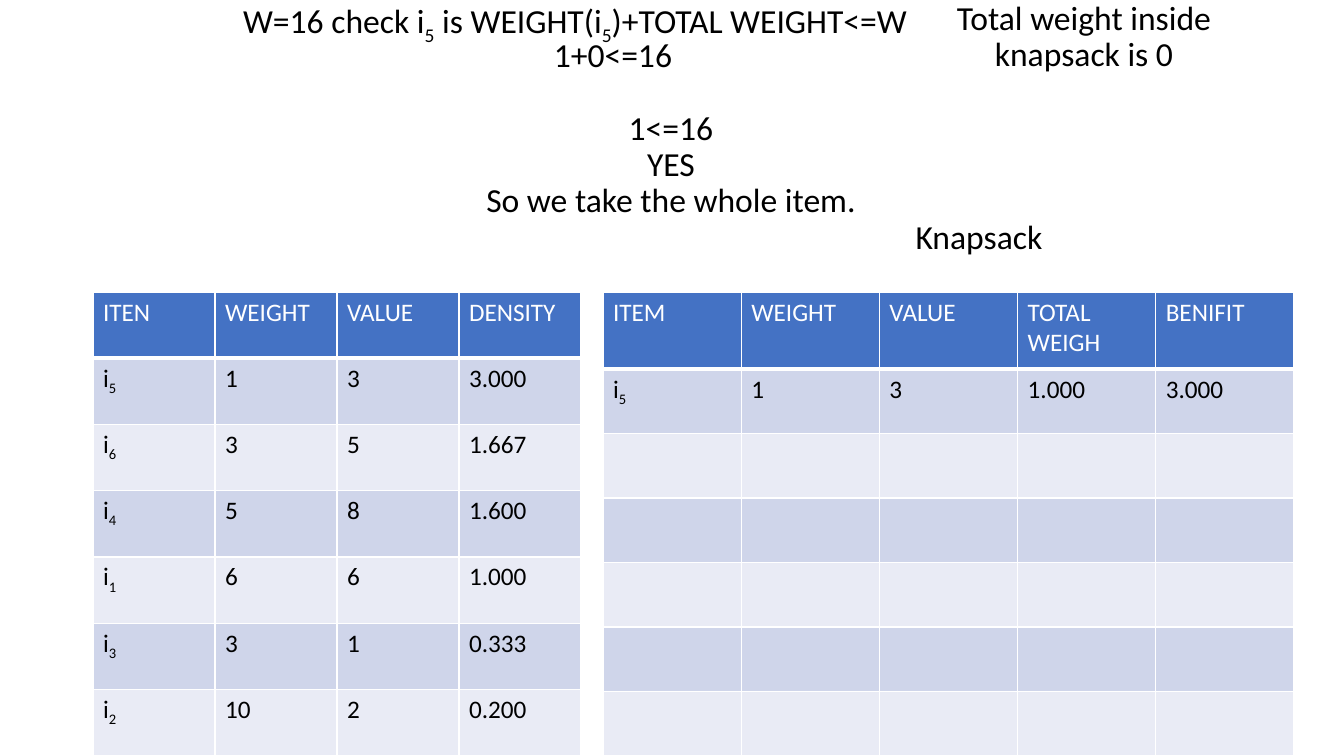
import pptx
import pptx.dml.color
import pptx.enum.text
import pptx.oxml
import pptx.oxml.ns
import pptx.util

EMU_PER_PX = 9071.43
FONT = "Calibri"
BLACK, WHITE = "000000", "FFFFFF"
HEADER_FILL = "4472C4"
BAND_FILLS = ["CFD5EA", "E9EBF5"]

ITEM_ROWS = [
    ["ITEN", "WEIGHT", "VALUE", "DENSITY"],
    ["i_5", "1", "3", "3.000"],
    ["i_6", "3", "5", "1.667"],
    ["i_4", "5", "8", "1.600"],
    ["i_1", "6", "6", "1.000"],
    ["i_3", "3", "1", "0.333"],
    ["i_2", "10", "2", "0.200"],
]
KNAPSACK_ROWS = [
    ["ITEM", "WEIGHT", "VALUE", "TOTAL WEIGH", "BENIFIT"],
    ["i_5", "1", "3", "1.000", "3.000"],
] + [[""] * 5] * 5


def px(length):
    return pptx.util.Emu(round(length * EMU_PER_PX))


def color(hex_string):
    return pptx.dml.color.RGBColor.from_string(hex_string)


def write(paragraph, text, size, hex_string):
    """Write text in which the character after each underscore is a subscript."""
    first, *others = text.split("_")
    pieces = [(first, False)]
    for other in others:
        pieces += [(other[0], True), (other[1:], False)]
    for piece, is_subscript in pieces:
        if not piece:
            continue
        run = paragraph.add_run()
        run.text = piece
        run.font.name = FONT
        run.font.size = pptx.util.Pt(size)
        run.font.bold = False
        run.font.color.rgb = color(hex_string)
        if is_subscript:
            run.font._element.set("baseline", "-25000")


def add_centered_lines(slide, center, top, width, lines):
    height = 37 * len(lines)
    shape = slide.shapes.add_textbox(
        px(center - width / 2), px(top), px(width), px(height))
    text_frame = shape.text_frame
    text_frame.word_wrap = True
    text_frame.margin_left = text_frame.margin_right = 0
    text_frame.margin_top = text_frame.margin_bottom = 0
    for index, line in enumerate(lines):
        paragraph = text_frame.add_paragraph() if index else text_frame.paragraphs[0]
        paragraph.alignment = pptx.enum.text.PP_ALIGN.CENTER
        paragraph.line_spacing = 0.9
        write(paragraph, line, 24, BLACK)


def add_weight_check(slide, left, top):
    add_centered_lines(slide, left + 575, top, 760,
                       ["W=16 check i_5 is WEIGHT(i_5)+TOTAL WEIGHT<=W"])
    add_centered_lines(slide, left + 613, top + 37, 200, ["1+0<=16"])
    add_centered_lines(slide, left + 1084, top, 300,
                       ["Total weight inside", "knapsack is 0"])
    add_centered_lines(slide, left + 671, top + 110, 500,
                       ["1<=16", "YES", "So we take the whole item."])
    add_centered_lines(slide, left + 979, top + 219, 200, ["Knapsack"])


def set_borders(cell, bottom_points):
    properties = cell._tc.get_or_add_tcPr()
    for side, points in [("L", 1), ("R", 1), ("T", 1), ("B", bottom_points)]:
        properties.append(pptx.oxml.parse_xml(
            f'<a:ln{side} {pptx.oxml.ns.nsdecls("a")} w="{points * 12700}">'
            f'<a:solidFill><a:srgbClr val="{WHITE}"/></a:solidFill></a:ln{side}>'))


def add_banded_table(slide, left, top, width, height, header_height, rows):
    column_count = len(rows[0])
    table = slide.shapes.add_table(
        len(rows), column_count, px(left), px(top), px(width), px(height)).table
    for column in table.columns:
        column.width = px(width / column_count)
    body_height = (height - header_height) / (len(rows) - 1)
    for row_index, values in enumerate(rows):
        is_header = row_index == 0
        table.rows[row_index].height = px(header_height if is_header else body_height)
        fill = HEADER_FILL if is_header else BAND_FILLS[(row_index - 1) % 2]
        for column_index, value in enumerate(values):
            cell = table.cell(row_index, column_index)
            set_borders(cell, 3 if is_header else 1)
            cell.fill.solid()
            cell.fill.fore_color.rgb = color(fill)
            write(cell.text_frame.paragraphs[0], value, 18,
                  WHITE if is_header else BLACK)


def main():
    presentation = pptx.Presentation()
    presentation.slide_width = px(1344)
    presentation.slide_height = px(756)
    slide = presentation.slides.add_slide(presentation.slide_layouts[6])
    add_weight_check(slide, 0, 1)
    add_banded_table(slide, 93, 292, 488, 464, 66, ITEM_ROWS)
    add_banded_table(slide, 603, 292, 691, 464, 77, KNAPSACK_ROWS)
    presentation.save("out.pptx")


if __name__ == "__main__":
    main()
